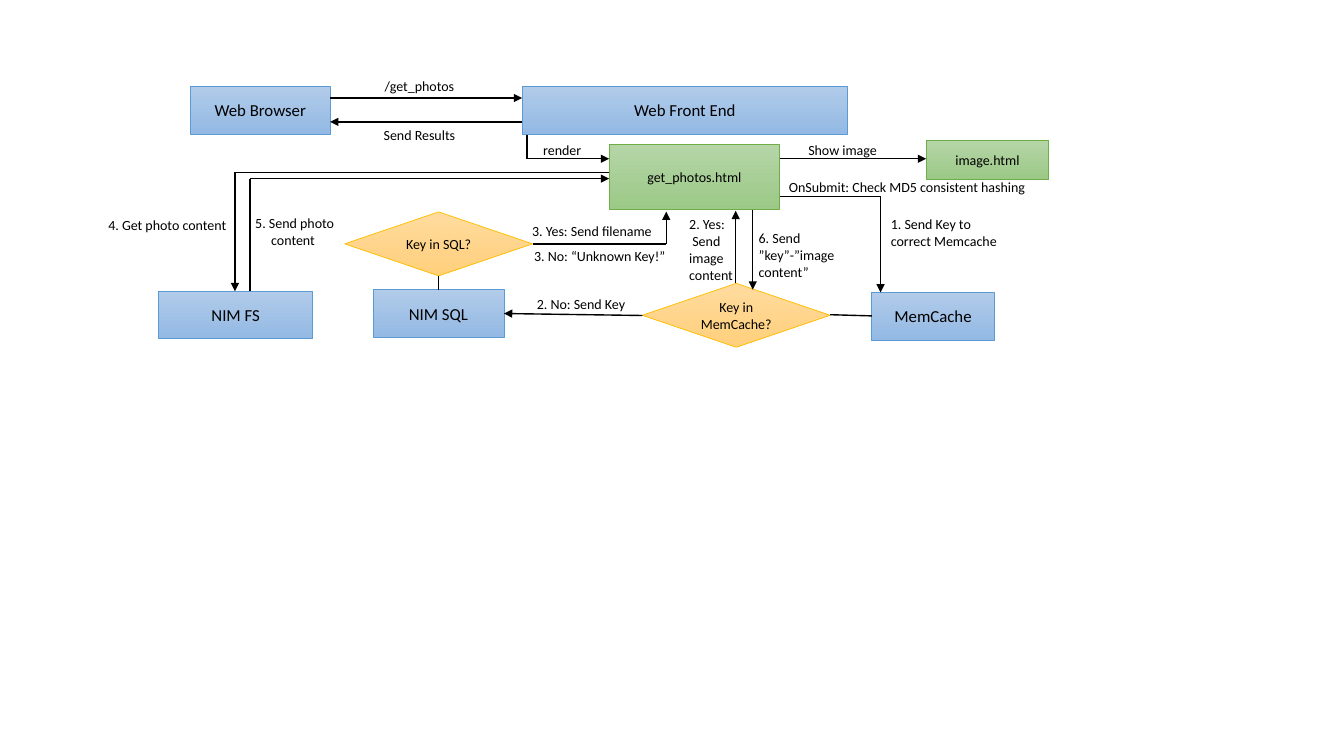
from itertools import pairwise

from lxml.etree import SubElement
from pptx import Presentation
from pptx.dml.color import RGBColor
from pptx.enum.shapes import MSO_CONNECTOR, MSO_SHAPE
from pptx.enum.text import MSO_ANCHOR, MSO_AUTO_SIZE, PP_ALIGN
from pptx.oxml.ns import qn
from pptx.util import Cm, Pt

THEME = {
    "font": "Calibri",
    "ink": "000000",
    "node_size": 12,
    "label_size": 10,
    "outline": 0.5,
    "arrow": 1,
    # gradient top, gradient bottom, outline
    "service": ("B1CBE9", "93B9E4", "5B9BD5"),
    "page": ("B5D5A7", "9CC987", "70AD47"),
    "decision": ("FFDB9E", "FFD07C", "FFC000"),
}

# Content: lengths in centimetres
# text, left, top, width
SERVICES = [
    ("Web Browser", 4.8, 2.18, 3.52),
    ("Web Front End", 13.16, 2.18, 8.2),
    ("NIM FS", 4.0, 7.34, 3.88),
    ("NIM SQL", 9.4, 7.3, 3.3),
    ("MemCache", 21.97, 7.37, 3.09),
]
SERVICE_HEIGHT = 1.2

# text, left, top, width, height
PAGES = [
    ("get_photos.html", 15.35, 3.65, 4.3, 1.63),
    ("image.html", 23.34, 3.55, 3.09, 0.97),
]

# text, left, top
DECISIONS = [
    ("Key in SQL?", 8.69, 5.34),
    ("Key in MemCache?", 16.19, 7.14),
]
DECISION_SIZE = (4.73, 1.61)

# corner points, ends in an arrowhead
ROUTES = [
    ([(8.32, 2.47), (13.16, 2.47)], True),
    ([(13.16, 3.07), (8.32, 3.07)], True),
    ([(13.28, 3.4), (13.28, 4.0), (15.35, 4.0)], True),
    ([(19.65, 4.0), (23.34, 4.0)], True),
    ([(19.65, 4.95), (22.19, 4.95), (22.19, 7.37)], True),
    ([(20.92, 7.93), (21.97, 7.96)], False),
    ([(18.54, 7.14), (18.54, 5.31)], True),
    ([(18.97, 5.28), (18.97, 7.3)], True),
    ([(16.19, 7.95), (12.7, 7.9)], True),
    ([(11.05, 7.3), (11.05, 6.95)], False),
    ([(13.42, 6.15), (16.79, 6.15), (16.79, 5.33)], True),
    ([(15.35, 4.34), (5.92, 4.34), (5.92, 7.34)], True),
    ([(6.3, 7.34), (6.3, 4.5), (15.35, 4.5)], True),
]

# paragraphs, left, top, width, lines, alignment
LEFT, CENTER = PP_ALIGN.LEFT, PP_ALIGN.CENTER
LABELS = [
    (["/get_photos"], 8.69, 1.83, 3.76, 1, CENTER),
    (["Send Results"], 8.69, 3.07, 3.76, 1, CENTER),
    (["render "], 13.44, 3.45, 1.63, 1, LEFT),
    (["Show image "], 20.12, 3.43, 2.62, 1, LEFT),
    (["OnSubmit: Check MD5 consistent hashing"], 19.63, 4.37, 7.5, 1, LEFT),
    (["1. Send Key to correct Memcache"], 22.2, 5.31, 3.4, 2, LEFT),
    (["2. Yes:", " Send image content"], 17.12, 5.31, 1.78, 4, LEFT),
    (["2. No: Send Key"], 13.28, 7.32, 4.27, 1, LEFT),
    (["3. Yes: Send filename"], 13.16, 5.49, 4.39, 1, LEFT),
    (["3. No: “Unknown Key!”"], 13.21, 6.1, 4.39, 1, LEFT),
    (["4. Get photo content "], 2.44, 5.33, 3.63, 1, CENTER),
    (["5. Send photo content "], 5.61, 5.28, 3.63, 2, CENTER),
    (["6. Send ”key”-”image content”"], 18.87, 5.66, 2.97, 2, LEFT),
]
LINE_HEIGHT, LABEL_PADDING = 0.43, 0.26


def color(name):
    return RGBColor.from_string(name)


def write(frame, paragraphs, size, alignment):
    frame.word_wrap = True
    for index, text in enumerate(paragraphs):
        para = frame.add_paragraph() if index else frame.paragraphs[0]
        para.alignment = alignment
        span = para.add_run()
        span.text = text
        span.font.name = THEME["font"]
        span.font.size = Pt(size)
        span.font.color.rgb = color(THEME["ink"])


def add_node(page, preset, style, size, text, *place):
    box = page.shapes.add_shape(preset, *map(Cm, place))
    box.shadow.inherit = False
    top, bottom, outline = THEME[style]
    box.fill.gradient()
    box.fill.gradient_angle = 270
    for stop, shade in zip(box.fill.gradient_stops, (top, bottom)):
        stop.color.rgb = color(shade)
    box.line.color.rgb = color(outline)
    box.line.width = Pt(THEME["outline"])
    box.text_frame.vertical_anchor = MSO_ANCHOR.MIDDLE
    write(box.text_frame, [text], size, CENTER)


def add_route(page, points, has_arrow):
    for start, end in pairwise(points):
        link = page.shapes.add_connector(
            MSO_CONNECTOR.STRAIGHT, *map(Cm, (*start, *end)))
        link.line.color.rgb = color(THEME["ink"])
        link.line.width = Pt(THEME["arrow"])
        properties = link._element.spPr
        if has_arrow and end == points[-1]:
            SubElement(properties.find(qn("a:ln")), qn("a:tailEnd"), type="triangle")
        SubElement(properties, qn("a:effectLst"))


def add_label(page, paragraphs, left, top, width, lines, alignment):
    height = LABEL_PADDING + LINE_HEIGHT * lines
    box = page.shapes.add_textbox(*map(Cm, (left, top, width, height)))
    box.text_frame.auto_size = MSO_AUTO_SIZE.SHAPE_TO_FIT_TEXT
    write(box.text_frame, paragraphs, THEME["label_size"], alignment)


# Slide
deck = Presentation()
deck.slide_width, deck.slide_height = Cm(33.87), Cm(19.05)
page = deck.slides.add_slide(deck.slide_layouts[6])

# Boxes and decisions
for service in SERVICES:
    add_node(page, MSO_SHAPE.RECTANGLE, "service", THEME["node_size"],
             *service, SERVICE_HEIGHT)
for html_page in PAGES:
    add_node(page, MSO_SHAPE.RECTANGLE, "page", THEME["label_size"], *html_page)
for decision in DECISIONS:
    add_node(page, MSO_SHAPE.DIAMOND, "decision", THEME["label_size"],
             *decision, *DECISION_SIZE)

# Arrows and their labels
for points, has_arrow in ROUTES:
    add_route(page, points, has_arrow)
for label in LABELS:
    add_label(page, *label)

deck.save("out.pptx")
